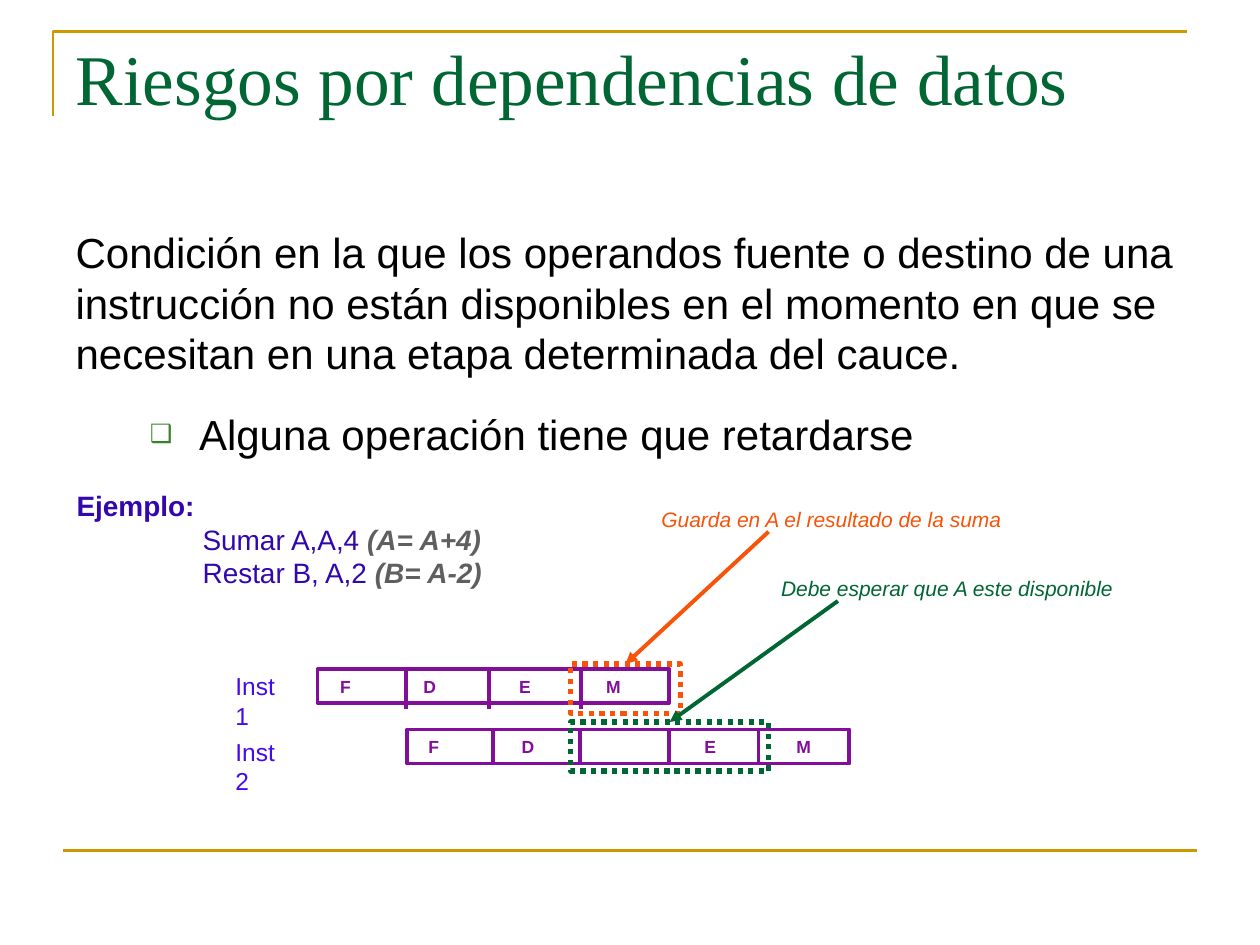
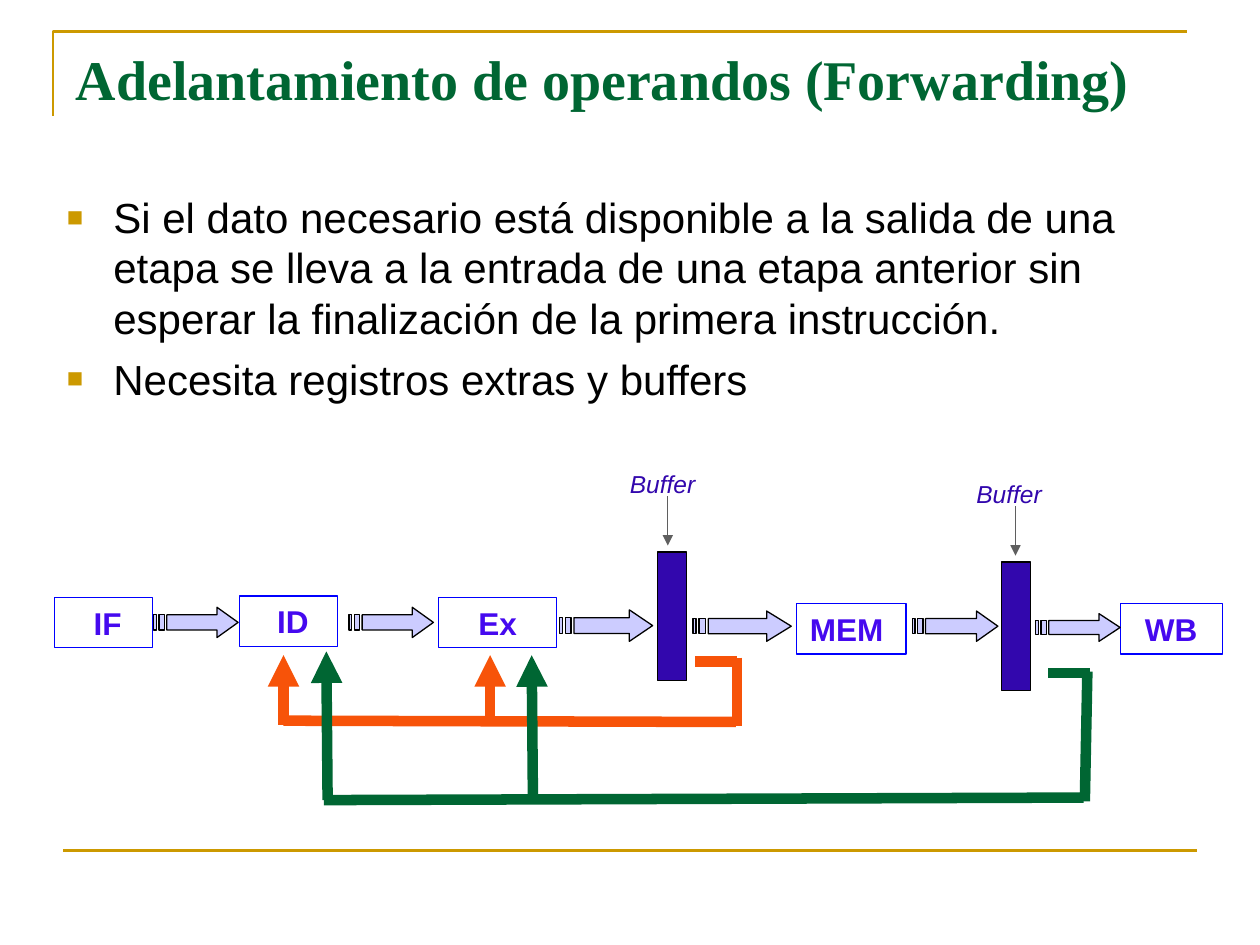
from lxml import etree
from pptx import Presentation
from pptx import util as u
from pptx.dml.color import RGBColor
from pptx.enum import dml, shapes, text
from pptx.oxml import ns

PX = 9144  # EMU per px: 100 px to the inch
GOLD, GREEN, ORANGE, PURPLE = "CC9900", "006633", "F75309", "830E9A"
INDIGO, VIOLET, BLUE, LILAC = "3207AD", "4509EF", "0000FF", "CCCCFF"
GREY, BLACK, MOSS = "5F5F5F", "000000", "3B812F"
SANS, SERIF = "Arial", "Times New Roman"


def rgb(value):
    return RGBColor.from_string(value)


def emu(*lengths):
    return [u.Emu(round(length * PX)) for length in lengths]


def child(parent, tag, **attributes):
    node = etree.SubElement(parent, ns.qn(tag))
    for name, value in attributes.items():
        node.set(name, str(value))
    return node


class Painter:
    """Draws the elements of the current slide in the style of the deck."""

    def __init__(self):
        self.deck = Presentation()
        self.deck.slide_width, self.deck.slide_height = emu(1000, 750)

    def new_slide(self):
        layout = self.deck.slide_layouts.get_by_name("Title and Content")
        self.slide = self.deck.slides.add_slide(layout)
        self.shapes = self.slide.shapes
        self.outline([[(42, 92), (42, 25), (942, 25)]], GOLD, 1.5, closed=False)
        self.line((50, 675), (950, 675), GOLD, 1.5)

    def span(self, para, words, size, color, bold=False, italic=False, font=SANS):
        run = para.add_run()
        run.text = words
        run.font.name, run.font.size = font, u.Pt(size)
        run.font.bold, run.font.italic = bold, italic
        run.font.color.rgb = rgb(color)

    def place(self, holder, area):
        holder.left, holder.top, holder.width, holder.height = emu(*area)
        frame = holder.text_frame
        frame.auto_size = text.MSO_AUTO_SIZE.NONE
        frame.vertical_anchor = text.MSO_ANCHOR.TOP
        return frame

    def title(self, words, area, size, bold=False, spacing=1.0):
        para = self.place(self.shapes.title, area).paragraphs[0]
        para.alignment = text.PP_ALIGN.LEFT
        para.line_spacing = spacing
        self.span(para, words, size, GREEN, bold, font=SERIF)

    def body(self, area):
        return self.place(self.slide.placeholders[1], area)

    def item(self, para, words, before=6, indent=0, hang=0, bullet=None, level=0):
        """Fill a body paragraph; bullet is (symbol, colour, percent)."""
        para.level = level
        para.space_before = u.Pt(before)
        props = para._p.get_or_add_pPr()
        left, first = emu(indent, -hang)
        props.set("marL", str(left))
        props.set("indent", str(first))
        if bullet:
            symbol, color, percent = bullet
            child(child(props, "a:buClr"), "a:srgbClr", val=color)
            child(props, "a:buSzPct", val=percent * 1000)
            child(props, "a:buFont", typeface=SANS)
            child(props, "a:buChar", char=symbol)
        else:
            child(props, "a:buNone")
        self.span(para, words, 24, BLACK)

    def text_box(self, area, wrap=False):
        frame = self.shapes.add_textbox(*emu(*area)).text_frame
        frame.word_wrap = wrap
        frame.auto_size = text.MSO_AUTO_SIZE.SHAPE_TO_FIT_TEXT
        return frame

    def label(self, area, words, size, color, italic=False):
        self.span(self.text_box(area).paragraphs[0], words, size, color, italic=italic)

    def finish(self, shape, color, width, fill=None):
        shape.shadow.inherit = False
        if fill:
            shape.fill.solid()
            shape.fill.fore_color.rgb = rgb(fill)
        else:
            shape.fill.background()
        shape.line.color.rgb = rgb(color)
        shape.line.width = u.Pt(width)
        return shape

    def box(self, area, color, width, fill=None, dotted=False):
        shape = self.shapes.add_shape(shapes.MSO_SHAPE.RECTANGLE, *emu(*area))
        self.finish(shape, color, width, fill)
        if dotted:
            shape.line.dash_style = dml.MSO_LINE.ROUND_DOT
        return shape

    def outline(self, contours, color, width, fill=None, closed=True):
        builder = None
        for contour in contours:
            start, *rest = [emu(*point) for point in contour]
            if builder:
                builder.move_to(*start)
            else:
                builder = self.shapes.build_freeform(*start, scale=1.0)
            builder.add_line_segments(rest, close=closed)
        return self.finish(builder.convert_to_shape(), color, width, fill)

    def line(self, start, end, color, width, arrow=False, target=None):
        """Straight line; with a target, it ends at the middle of its top side."""
        link = self.shapes.add_connector(
            shapes.MSO_CONNECTOR.STRAIGHT, *emu(*start, *end))
        link.line.color.rgb = rgb(color)
        link.line.width = u.Pt(width)
        if target is not None:
            link.end_connect(target, 0)
        if arrow:
            child(link.line._get_or_add_ln(), "a:tailEnd", type="triangle")
        child(link._element.spPr, "a:effectLst")

    def pipeline(self, area, stages, inset, tabs, dividers, bottom):
        """Instruction bar with its stage letters on tab stops."""
        left, top = area[:2]
        frame = self.box(area, PURPLE, 2.25).text_frame
        frame.margin_left, = emu(inset)
        frame.word_wrap = True
        para = frame.paragraphs[0]
        para.alignment = text.PP_ALIGN.LEFT
        stops = child(para._p.get_or_add_pPr(), "a:tabLst")
        for tab in tabs:
            child(stops, "a:tab", pos=emu(tab)[0], algn="l")
        self.span(para, "\t".join(stages), 10, PURPLE, bold=True)
        for x in dividers:
            self.line((x, top + 1), (x, bottom), PURPLE, 2.25)

    def stage(self, area, words):
        frame = self.box(area, BLUE, 0.75).text_frame
        frame.word_wrap = True
        para = frame.paragraphs[0]
        para.alignment = text.PP_ALIGN.CENTER
        self.span(para, words, 18, VIOLET, bold=True)

    def striped_arrow(self, left, top, width, height):
        def points(*pairs):
            return [(left + width * x / 32, top + height * y / 4) for x, y in pairs]

        def stripe(x1, x2):
            return points((x1, 1), (x1, 3), (x2, 3), (x2, 1))

        head = points((24, 0), (24, 1), (5, 1), (5, 3), (24, 3), (24, 4), (32, 2))
        self.outline([head, stripe(2, 4), stripe(0, 1)], BLACK, 0.75, LILAC)

    def buffer(self, left, top, label_left, arrow_x):
        register = self.box((left, top, 23, 102), BLACK, 0.75, INDIGO)
        self.label((label_left, top - 71, 72, 34), "Buffer", 14, INDIGO, italic=True)
        self.line((arrow_x, top - 44), (arrow_x, top - 5), GREY, 0.75, arrow=True)
        return register

    def feedback(self, color, route, arrows):
        """Thick path back from a buffer, with arrows up into earlier stages."""
        for start, end in route:
            self.line(start, end, color, 6)
        for start, end in arrows:
            self.line(start, end, color, 6, arrow=True)


def hazards(painter):
    painter.new_slide()
    painter.title("Riesgos por dependencias de datos", (50, 30, 900, 157), 40.7,
                  spacing=0.9)
    frame = painter.body((50, 175, 900, 495))
    painter.item(frame.paragraphs[0],
                 "Condición en la que los operandos fuente o destino de una "
                 "instrucción no están disponibles en el momento en que se "
                 "necesitan en una etapa determinada del cauce.")
    painter.item(frame.add_paragraph(), "Alguna operación tiene que retardarse",
                 before=17.5, indent=98, hang=39, bullet=("❑", MOSS, 60), level=1)

    example = painter.text_box((51, 383, 425, 117), wrap=True)
    painter.span(example.paragraphs[0], "Ejemplo:", 16, INDIGO, bold=True)
    for code, meaning in (("Sumar A,A,4 ", "(A= A+4)"), ("Restar B, A,2 ", "(B= A-2)")):
        para = example.add_paragraph()
        para._p.get_or_add_pPr().set("marL", str(emu(100)[0]))
        painter.span(para, code, 16, INDIGO)
        painter.span(para, meaning, 16, GREY, bold=True, italic=True)

    painter.label((177, 528, 67, 34), "Inst 1", 14, VIOLET)
    painter.label((177, 580, 67, 34), "Inst 2", 14, VIOLET)
    painter.pipeline((252, 531, 279, 27), "FDEM", 18, (66, 142, 211),
                     (322, 388, 461), 563)
    painter.pipeline((323, 579, 351, 27), "FDEM", 17, (74, 219, 292),
                     (391, 460, 531, 602), 607)

    waiting = painter.box((453, 573, 157, 39), GREEN, 3, dotted=True)
    saving = painter.box((453, 527, 87, 39), ORANGE, 3, dotted=True)
    notes = (
        ("Guarda en A el resultado de la suma", (515, 397, 291, 30), (610, 422),
         ORANGE, saving),
        ("Debe esperar que A este disponible", (610, 452, 285, 30), (665, 477),
         GREEN, waiting),
    )
    for words, area, start, color, target in notes:
        painter.label(area, words, 12, color, italic=True)
        painter.line(start, start, color, 2.25, arrow=True, target=target)


def forwarding(painter):
    painter.new_slide()
    painter.title("Adelantamiento de operandos (Forwarding)", (50, 30, 900, 125), 32,
                  bold=True)
    frame = painter.body((43, 147, 900, 532))
    square = ("■", GOLD, 65)
    painter.item(frame.paragraphs[0],
                 "Si el dato necesario está disponible a la salida de una etapa se "
                 "lleva a la entrada de una etapa anterior sin esperar la "
                 "finalización de la primera instrucción.",
                 indent=37, hang=37, bullet=square)
    painter.item(frame.add_paragraph(), "Necesita registros extras y buffers",
                 indent=37, hang=37, bullet=square)

    for words, left, top, width in ((" IF", 43, 474, 78), (" ID", 190, 473, 78),
                                    ("Ex", 348, 474, 94), ("MEM ", 632, 479, 87),
                                    ("WB", 889, 479, 81)):
        painter.stage((left, top, width, 40), words)
    painter.buffer(522, 438, 490, 530)
    painter.buffer(795, 446, 765, 806)
    for area in ((122, 482, 67, 24), (277, 482, 67, 24), (444, 484, 74, 25),
                 (550, 485, 78, 24), (724, 485, 68, 24), (822, 487, 67, 22)):
        painter.striped_arrow(*area)

    painter.feedback(ORANGE,
                     [((552, 525), (585, 525)), ((585, 522), (585, 576)),
                      ((225, 572), (584, 573))],
                     [((389, 575), (389, 520)), ((225, 575), (225, 520))])
    painter.feedback(GREEN,
                     [((832, 534), (865, 534)), ((863, 533), (861, 636)),
                      ((257, 635), (860, 633))],
                     [((423, 638), (422, 520)), ((260, 635), (259, 517))])


def main():
    painter = Painter()
    hazards(painter)
    forwarding(painter)
    painter.deck.save("out.pptx")


if __name__ == "__main__":
    main()
